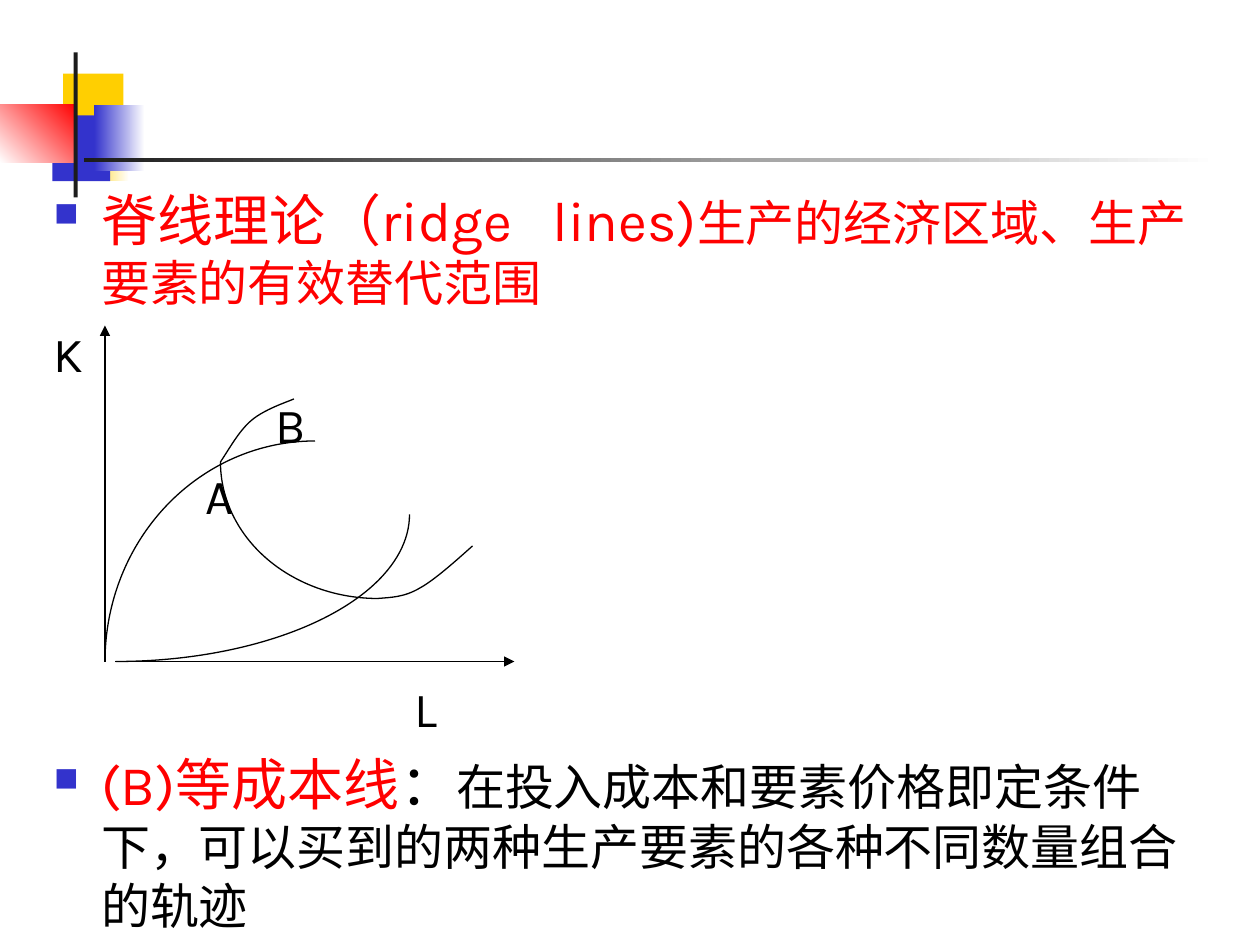
from pptx import Presentation, util as u
from pptx.dml.color import RGBColor
from pptx.enum import shapes, text
from pptx.oxml.ns import qn
from lxml import etree

COLORS = {"white": "FFFFFF", "gold": "FFCF01", "blue": "3333CC",
          "red": "FF0000", "dark": "1C1C1C", "black": "000000"}
WIDTH, HEIGHT = 10, 7.5
COL = ROW = 1 / 12  # grid step in inches


def rgb(name):
    return RGBColor.from_string(COLORS[name])


def add_run(paragraph, words, size=28, color="black", spacing=0):
    run = paragraph.add_run()
    run.text = words
    run.font.name = "Karla"
    run.font.size = u.Pt(size)
    run.font.color.rgb = rgb(color)
    if spacing:
        run.font._element.set("spc", str(int(spacing * 100)))


class SlideKit:
    """Style and current slide; lengths are columns and rows of the grid."""
    line_width = 0.74
    hanging = u.Pt(27)

    def __init__(self, slide):
        self.slide = slide
        self.shapes = slide.shapes

    def box(self, col, row, cols, rows):
        return [u.Inches(n * step) for n, step in
                ((col, COL), (row, ROW), (cols, COL), (rows, ROW))]

    def outline(self, line):
        line.color.rgb = rgb("black")
        line.width = u.Pt(self.line_width)

    def block(self, place, color, fade_to=None, angle=180):
        rect = self.shapes.add_shape(shapes.MSO_SHAPE.RECTANGLE, *self.box(*place))
        rect.shadow.inherit = False
        rect.line.fill.background()
        if fade_to:
            rect.fill.gradient()
            rect.fill.gradient_angle = angle
            for stop, name in zip(rect.fill.gradient_stops, (color, fade_to)):
                stop.color.rgb = rgb(name)
        else:
            rect.fill.solid()
            rect.fill.fore_color.rgb = rgb(color)

    def axis(self, start, end):
        ends = [u.Inches(n * COL) for n in (*start, *end)]
        line = self.shapes.add_connector(shapes.MSO_CONNECTOR.STRAIGHT, *ends)
        self.outline(line.line)
        etree.SubElement(line.line._get_or_add_ln(), qn("a:tailEnd"), type="triangle")
        etree.SubElement(line._element.spPr, qn("a:effectLst"))

    def arc(self, place, start, end):
        arc = self.shapes.add_shape(shapes.MSO_SHAPE.ARC, *self.box(*place))
        arc.shadow.inherit = False
        arc.fill.background()
        self.outline(arc.line)
        # angles are stored as 60000ths of a degree, scaled by 100000
        arc.adjustments[0], arc.adjustments[1] = start * 0.6, end * 0.6

    def curve(self, *points):
        start, *rest = [(u.Inches(x * COL), u.Inches(y * ROW)) for x, y in points]
        builder = self.shapes.build_freeform(*start)
        builder.add_line_segments(rest, close=False)
        curve = builder.convert_to_shape()
        curve.shadow.inherit = False
        curve.fill.background()
        self.outline(curve.line)
        # every three points make one Bezier segment
        path = next(curve._element.iter(qn("a:path")))
        corners = path.findall(qn("a:lnTo"))
        for i in range(0, len(corners), 3):
            bezier = etree.SubElement(path, qn("a:cubicBezTo"))
            for corner in corners[i:i + 3]:
                bezier.append(corner[0])
                path.remove(corner)

    def body(self, place):
        frame = self.shapes.add_textbox(*self.box(*place)).text_frame
        frame.word_wrap = True
        frame.auto_size = text.MSO_AUTO_SIZE.NONE
        return frame

    def paragraph(self, frame, runs, indent=0.0, before=7, bullet=False):
        first = frame.paragraphs[0]
        para = frame.add_paragraph() if first.runs else first
        para.space_before = u.Pt(before)
        props = para._p.get_or_add_pPr()
        hanging = self.hanging if bullet else 0
        props.set("marL", str(u.Inches(indent) + hanging))
        props.set("indent", str(-hanging))
        props.set("hangingPunct", "0")
        if bullet:
            tint = etree.SubElement(props, qn("a:buClr"))
            etree.SubElement(tint, qn("a:srgbClr"), val=COLORS["blue"])
            etree.SubElement(props, qn("a:buSzPct"), val="60000")
            etree.SubElement(props, qn("a:buFont"), typeface="Wingdings", charset="2")
            etree.SubElement(props, qn("a:buChar"), char="n")
        for words, style in runs:
            add_run(para, words, **style)


deck = Presentation()
deck.slide_width, deck.slide_height = u.Inches(WIDTH), u.Inches(HEIGHT)
kit = SlideKit(deck.slides.add_slide(deck.slide_layouts[6]))

# Corner ornament and title rule
kit.block((6, 7, 5.75, 6.25), "gold")
kit.block((8, 11, 4.3, 6.25), "white", "gold")
kit.block((5, 11, 5.5, 6.25), "blue")
kit.block((9, 10, 4.8, 6.25), "white", "blue")
kit.block((0, 10, 7.3, 5.5), "red", "white", angle=225)
kit.block((7, 5, 0.4, 13.8), "dark")
kit.block((8, 15, 108, 0.4), "white", "dark")

# Body text, with the diagram's letters between the two bullets
heading = {"size": 32, "color": "red"}
body = kit.body((3.95, 17.05, 113.5, 73))
kit.paragraph(body, [("脊线理论（ridge", heading),
                     (" ", {**heading, "spacing": 15.5}),
                     ("lines)", heading),
                     ("生产的经济区域、生产要素的有效替代范围", {"color": "red"})],
              bullet=True)
for letter, indent, before in (("K", 0, 7), ("B", 1.76, 7),
                               ("A", 1.2, 7), ("L", 2.86, 88)):
    kit.paragraph(body, [(letter, {})], indent, before)
kit.paragraph(body, [("(B)等成本线", heading), ("：", {"size": 32}),
                     ("在投入成本和要素价格即定条件下，可以买到的两种生产要素的各种不同数量组合的轨迹", {})],
              bullet=True)

# Axes
kit.axis((10, 63), (10, 31))
kit.axis((11, 63), (49, 63))

# Isoquant: an arc with a tail at each end
kit.arc((21, 31, 30, 26), 90, 180)
kit.curve((36, 57), (37.2, 56.9), (38.5, 56.9), (40, 56),
          (41.5, 55.2), (44.2, 52.7), (45, 52))
kit.curve((21, 44), (22, 42.5), (22.8, 41), (24, 40),
          (25.2, 39), (27.3, 38.3), (28, 38))

# Ridge lines
kit.arc((10, 42, 40, 42), 180, 270)
kit.arc((-17, 35, 56, 28), 0, 90)

deck.save("out.pptx")
